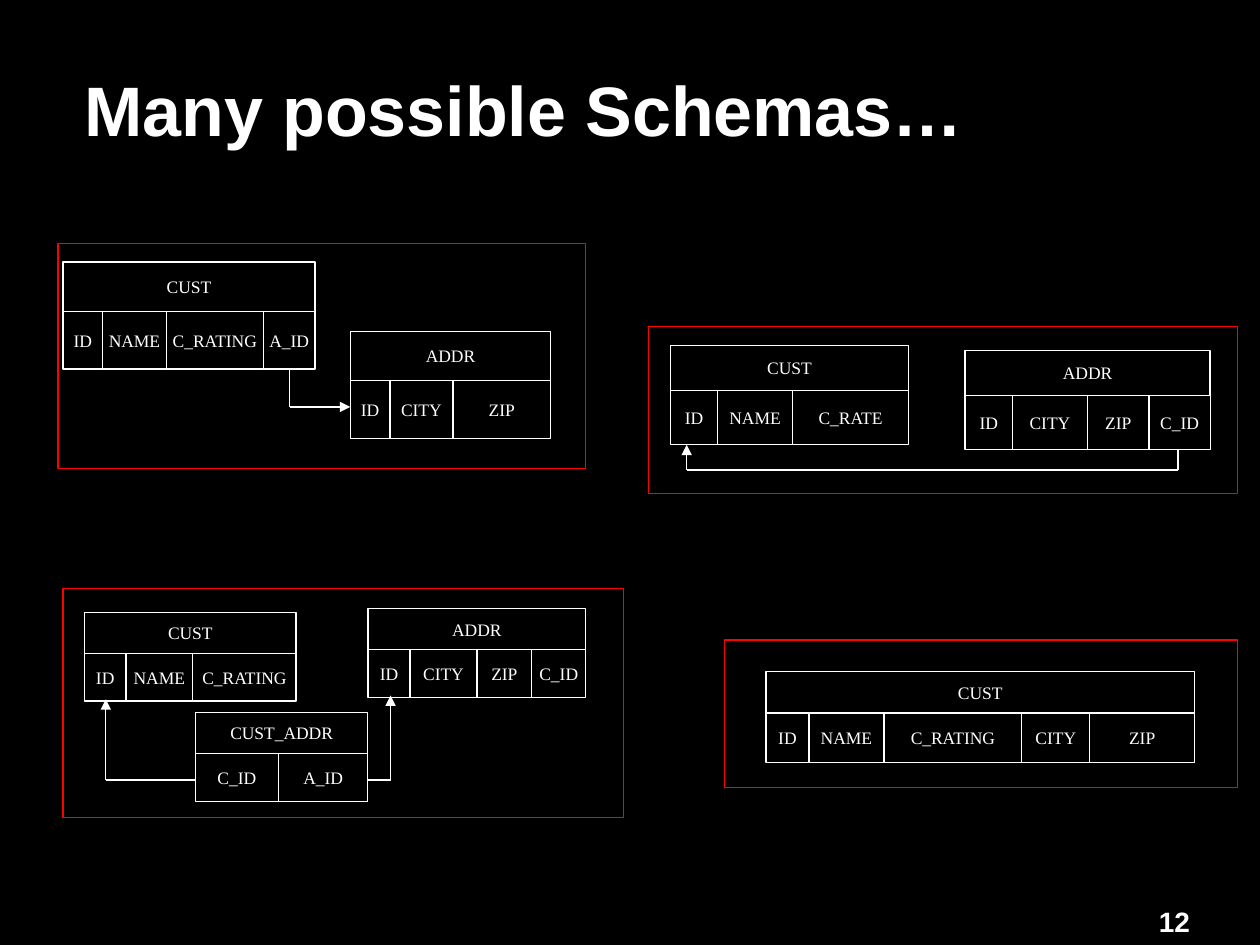
"""Builds the slide that compares four relational schemas."""
from lxml import etree
from pptx import Presentation
from pptx.dml.color import RGBColor
from pptx.enum.shapes import MSO_CONNECTOR, MSO_SHAPE
from pptx.enum.text import MSO_ANCHOR, PP_ALIGN
from pptx.oxml.ns import qn
from pptx.util import Inches, Pt

RECTANGLE = MSO_SHAPE.RECTANGLE
STRAIGHT = MSO_CONNECTOR.STRAIGHT
MIDDLE, TOP = MSO_ANCHOR.MIDDLE, MSO_ANCHOR.TOP
LEFT, CENTER = PP_ALIGN.LEFT, PP_ALIGN.CENTER
COLORS = {"background": "000000", "ink": "FFFFFF", "frame": "FD0000"}
COLUMNS, ROWS = 100, 75

SCHEMAS = [
    {
        "frame": (51.5, 25.9, 46.7, 13.3),
        "heights": (3.6, 4.3),
        "tables": [
            ("CUST", 53.2, 27.4, [("ID", 3.75), ("NAME", 5.95), ("C_RATE", 9.2)]),
            ("ADDR", 76.6, 27.8, [("ID", 3.75), ("CITY", 5.95), ("ZIP", 4.9), ("C_ID", 4.85)]),
        ],
        "links": [[(93.5, 35.7), (93.5, 37.3), (54.5, 37.3), (54.5, 35.3)]],
    },
    {
        "frame": (5, 46.7, 44.5, 18.2),
        "heights": (3.25, 3.8),
        "tables": [
            ("CUST", 6.7, 48.6, [("ID", 3.3), ("NAME", 5.3), ("C_RATING", 8.2)]),
            ("ADDR", 29.2, 48.3, [("ID", 3.35), ("CITY", 5.3), ("ZIP", 4.35), ("C_ID", 4.3)]),
            ("CUST_ADDR", 15.5, 56.55, [("C_ID", 6.6), ("A_ID", 7.1)]),
        ],
        "links": [
            [(15.5, 61.9), (8.4, 61.9), (8.4, 55.5)],
            [(29.2, 61.9), (31, 61.9), (31, 55.2)],
        ],
    },
    {
        "frame": (57.5, 50.8, 40.7, 11.7),
        "heights": (3.3, 3.9),
        "tables": [
            ("CUST", 60.8, 53.3,
             [("ID", 3.4), ("NAME", 5.95), ("C_RATING", 10.95), ("CITY", 5.4), ("ZIP", 8.3)]),
        ],
        "links": [],
    },
    {
        "frame": (4.6, 19.3, 41.9, 17.9),
        "heights": (3.9, 4.6),
        "tables": [
            ("CUST", 5, 20.8, [("ID", 3.15), ("NAME", 5.05), ("C_RATING", 7.7), ("A_ID", 4.1)]),
            ("ADDR", 27.8, 26.3, [("ID", 3.15), ("CITY", 5), ("ZIP", 7.75)]),
        ],
        "links": [[(23, 29.3), (23, 32.3), (27.8, 32.3)]],
    },
]


class SchemaSlide:
    """Holds the style, the grid and the current slide."""

    def __init__(self, deck):
        """Add a title-only slide with a plain background."""
        self.column = deck.slide_width / COLUMNS
        self.row = deck.slide_height / ROWS
        self.page = deck.slides.add_slide(deck.slide_layouts[5])
        self.shapes = self.page.shapes
        fill = self.page.background.fill
        fill.solid()
        fill.fore_color.rgb = self.color("background")

    def color(self, name):
        """Return a named colour."""
        return RGBColor.from_string(COLORS[name])

    def place(self, left, top, width, height):
        """Turn grid units into slide lengths."""
        return (round(left * self.column), round(top * self.row),
                round(width * self.column), round(height * self.row))

    def label(self, box, text, size, font="Arial", bold=True, align=LEFT, anchor=MIDDLE):
        """Put one styled run into a box."""
        frame = box.text_frame
        frame.vertical_anchor = anchor
        para = frame.paragraphs[0]
        para.alignment = align
        span = para.add_run()
        span.text = text
        span.font.name = font
        span.font.size = Pt(size)
        span.font.bold = bold
        span.font.color.rgb = self.color("ink")
        return frame, para

    def title(self, text, *area):
        """Move and fill the title placeholder."""
        box = self.page.shapes.title
        box.left, box.top, box.width, box.height = self.place(*area)
        frame, para = self.label(box, text, 40)
        frame.margin_left = frame.margin_right = 0
        frame.margin_top = frame.margin_bottom = 0
        para.line_spacing = 0.85

    def number(self, text, *area):
        """Add the slide number."""
        box = self.page.shapes.add_textbox(*self.place(*area))
        frame, _ = self.label(box, text, 16, anchor=TOP)
        frame.word_wrap = True

    def outline(self, color, *area):
        """Add an unfilled rectangle."""
        box = self.shapes.add_shape(RECTANGLE, *self.place(*area))
        box.shadow.inherit = False
        box.fill.background()
        box.line.color.rgb = self.color(color)
        box.line.width = Pt(0.75)
        return box

    def cell(self, text, *area):
        """Add an outlined cell with a centred label."""
        box = self.outline("ink", *area)
        frame, _ = self.label(box, text, 10, "Times New Roman", False, CENTER)
        frame.word_wrap = False

    def relation(self, name, left, top, fields, heights):
        """Add a relation: its name above a row of fields."""
        head, body = heights
        self.cell(name, left, top, sum(width for _, width in fields), head)
        for field, width in fields:
            self.cell(field, left, top + head, width, body)
            left += width

    def link(self, points):
        """Join points with straight lines that end in an arrowhead."""
        for start, end in zip(points, points[1:]):
            line = self.shapes.add_connector(STRAIGHT, *self.place(*start, *end))
            line.line.color.rgb = self.color("ink")
            line.line.width = Pt(0.75)
            properties = line.element.spPr
            etree.SubElement(properties, qn("a:effectLst"))
        etree.SubElement(properties.find(qn("a:ln")), qn("a:tailEnd"), type="triangle")

    def schema(self, tables, links, heights):
        """Add the relations and links of one schema as a group."""
        self.shapes = self.page.shapes.add_group_shape().shapes
        for table in tables:
            self.relation(*table, heights)
        for points in links:
            self.link(points)
        self.shapes = self.page.shapes


def main():
    """Build and save the deck."""
    deck = Presentation()
    deck.slide_width, deck.slide_height = Inches(10), Inches(7.5)
    slide = SchemaSlide(deck)
    slide.number("12", 91, 71.3, 9, 3.7)
    slide.title("Many possible Schemas…", 6.7, 3.3, 81.7, 11.7)
    for schema in SCHEMAS:
        slide.schema(schema["tables"], schema["links"], schema["heights"])
    for schema in SCHEMAS:
        slide.outline("frame", *schema["frame"])
    deck.save("out.pptx")


if __name__ == "__main__":
    main()
